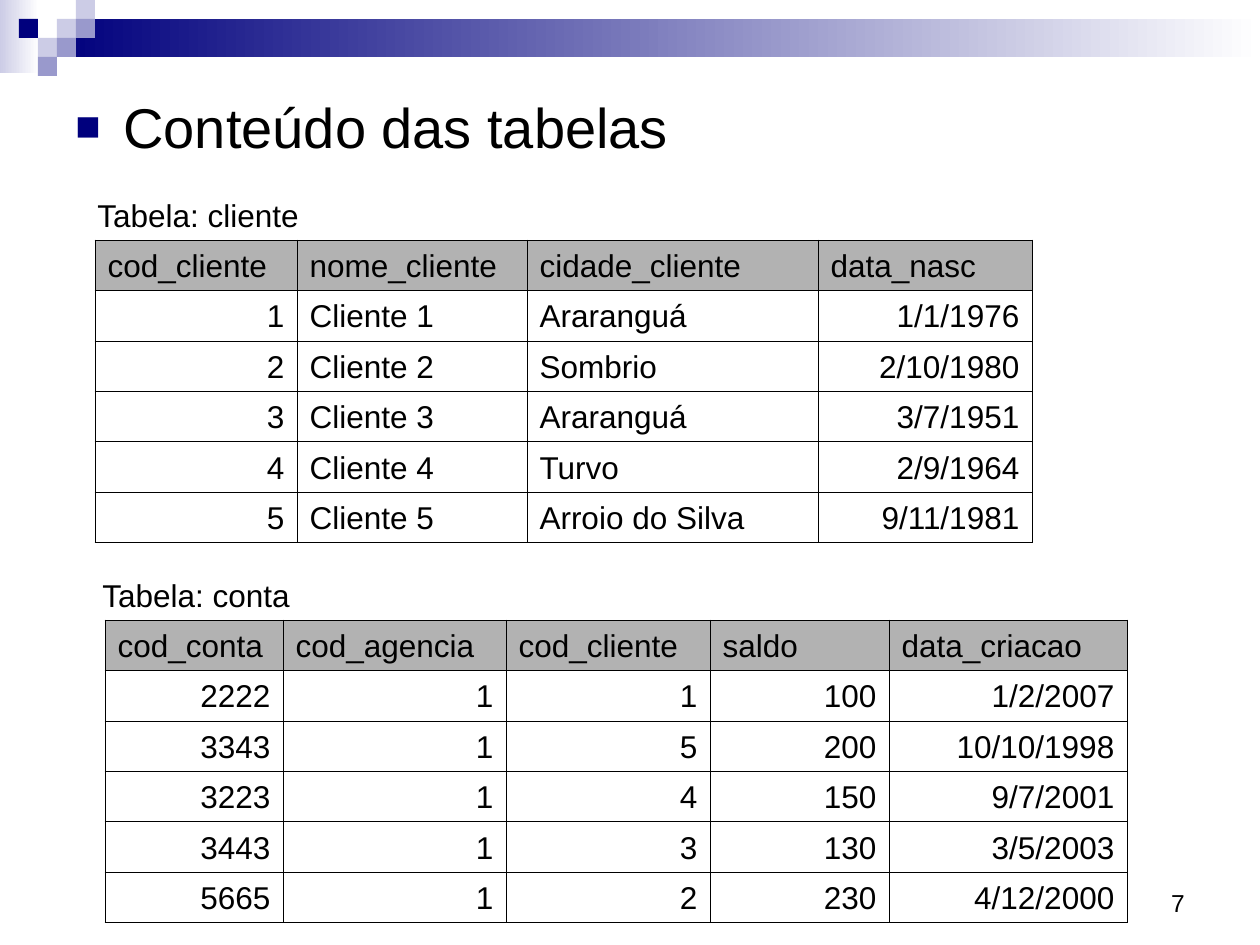
from lxml.etree import SubElement
from pptx import Presentation
from pptx.dml.color import RGBColor
from pptx.enum.shapes import MSO_SHAPE
from pptx.enum.text import MSO_ANCHOR, PP_ALIGN
from pptx.oxml.ns import qn
from pptx.util import Pt

PIXELS_PER_INCH = 126
EMU_PER_PIXEL = 914400 / PIXELS_PER_INCH

NAVY = RGBColor(0x00, 0x00, 0x7D)
LAVENDER = RGBColor(0xCC, 0xCC, 0xE6)
PERIWINKLE = RGBColor(0x99, 0x99, 0xCC)
GRAY = RGBColor(0xB2, 0xB2, 0xB2)
BLACK = RGBColor(0, 0, 0)
WHITE = RGBColor(0xFF, 0xFF, 0xFF)

MOSAIC_CELL = 19
MOSAIC = [  # column, row, colour
    (3, 1, LAVENDER), (4, 0, LAVENDER), (4, 1, PERIWINKLE), (2, 2, LAVENDER),
    (1, 1, NAVY), (3, 2, PERIWINKLE), (2, 3, PERIWINKLE),
]

CLIENT_COLUMNS = [202, 230, 291, 214]
CLIENT_ROWS = [
    ["cod_cliente", "nome_cliente", "cidade_cliente", "data_nasc"],
    ["1", "Cliente 1", "Araranguá", "1/1/1976"],
    ["2", "Cliente 2", "Sombrio", "2/10/1980"],
    ["3", "Cliente 3", "Araranguá", "3/7/1951"],
    ["4", "Cliente 4", "Turvo", "2/9/1964"],
    ["5", "Cliente 5", "Arroio do Silva", "9/11/1981"],
]
ACCOUNT_COLUMNS = [178, 223, 204, 179, 238]
ACCOUNT_ROWS = [
    ["cod_conta", "cod_agencia", "cod_cliente", "saldo", "data_criacao"],
    ["2222", "1", "1", "100", "1/2/2007"],
    ["3343", "1", "5", "200", "10/10/1998"],
    ["3223", "1", "4", "150", "9/7/2001"],
    ["3443", "1", "3", "130", "3/5/2003"],
    ["5665", "1", "2", "230", "4/12/2000"],
]


def px(length):
    return round(length * EMU_PER_PIXEL)


def emu_box(box):
    return [px(length) for length in box]


def write(paragraph, text, size, alignment=PP_ALIGN.LEFT):
    paragraph.alignment = alignment
    run = paragraph.add_run()
    run.text = text
    for name, value in {"name": "Arial", "size": Pt(size)}.items():
        setattr(run.font, name, value)
    run.font.color.rgb = BLACK


def add_text(slide, box, text, size, alignment=PP_ALIGN.LEFT, **frame_format):
    """Add a one-paragraph text box and return the paragraph."""
    frame = slide.shapes.add_textbox(*emu_box(box)).text_frame
    for name, value in {"word_wrap": True, **frame_format}.items():
        setattr(frame, name, value)
    paragraph = frame.paragraphs[0]
    write(paragraph, text, size, alignment)
    return paragraph


def add_rectangle(slide, box, color, fade_to=None):
    """Add a plain rectangle, or one that fades from left to right."""
    shape = slide.shapes.add_shape(MSO_SHAPE.RECTANGLE, *emu_box(box))
    shape.shadow.inherit = False
    shape.line.fill.background()
    if fade_to is None:
        shape.fill.solid()
        shape.fill.fore_color.rgb = color
        return
    shape.fill.gradient()
    shape.fill.gradient_angle = 0
    for stop, position, stop_color in zip(shape.fill.gradient_stops, (0, 1), (color, fade_to)):
        stop.position = position
        stop.color.rgb = stop_color


def add_banner(slide, box):
    left, top, width, height = box
    add_rectangle(slide, (left, top, 39, height), LAVENDER, WHITE)
    bar_left = 3 * MOSAIC_CELL
    add_rectangle(slide, (left + bar_left, top + MOSAIC_CELL, width - bar_left, 2 * MOSAIC_CELL),
                  NAVY, WHITE)
    for column, row, color in MOSAIC:
        add_rectangle(slide, (left + column * MOSAIC_CELL, top + row * MOSAIC_CELL,
                              MOSAIC_CELL, MOSAIC_CELL), color)


def add_heading(slide, box, text):
    """Add the slide heading with its square bullet."""
    paragraph = add_text(slide, box, text, 32)
    paragraph.space_before = Pt(8)
    properties = paragraph._p.get_or_add_pPr()
    properties.set("marL", str(px(48)))
    properties.set("indent", str(px(-48)))
    bullet_color = SubElement(properties, qn("a:buClr"))
    SubElement(bullet_color, qn("a:srgbClr"), val=str(NAVY))
    SubElement(properties, qn("a:buSzPct"), val="75000")
    SubElement(properties, qn("a:buFont"), typeface="Arial")
    SubElement(properties, qn("a:buChar"), char="■")


def add_borders(cell):
    """Draw thin black lines on all four sides; call before filling the cell."""
    properties = cell._tc.get_or_add_tcPr()
    for side in ("lnL", "lnR", "lnT", "lnB"):
        line = SubElement(properties, qn(f"a:{side}"), w=str(Pt(0.45)))
        fill = SubElement(line, qn("a:solidFill"))
        SubElement(fill, qn("a:srgbClr"), val=str(BLACK))


def format_cell(cell, text, is_header):
    add_borders(cell)
    cell_format = {
        "vertical_anchor": MSO_ANCHOR.BOTTOM,
        "margin_left": Pt(7.2), "margin_right": Pt(7.2),
        "margin_top": Pt(3.6), "margin_bottom": Pt(3.6),
    }
    for name, value in cell_format.items():
        setattr(cell, name, value)
    if is_header:
        cell.fill.solid()
        cell.fill.fore_color.rgb = GRAY
    else:
        cell.fill.background()
    alignment = PP_ALIGN.RIGHT if text[0].isdigit() else PP_ALIGN.LEFT
    write(cell.text_frame.paragraphs[0], text, 18, alignment)


def add_captioned_table(slide, box, caption, caption_shift, column_widths, rows):
    """Fill the box with a table; the caption sits above, shifted to the left."""
    left, top, width, height = box
    add_text(slide, (left - caption_shift, top - 50, 230, 50), caption, 18, word_wrap=False)
    table = slide.shapes.add_table(len(rows), len(column_widths), *emu_box(box)).table
    for name in ("first_row", "horz_banding"):
        setattr(table, name, False)
    for column, column_width in zip(table.columns, column_widths):
        column.width = px(column_width)
    for row, texts in zip(table.rows, rows):
        row.height = px(height / len(rows))
        for cell, text in zip(row.cells, texts):
            format_cell(cell, text, texts is rows[0])


def main():
    presentation = Presentation()
    presentation.slide_width = px(1260)
    presentation.slide_height = px(945)
    slide = presentation.slides.add_slide(presentation.slide_layouts[6])
    add_banner(slide, (0, 0, 1260, 73))
    add_text(slide, (903, 861, 294, 63), "7", 14, PP_ALIGN.RIGHT,
             vertical_anchor=MSO_ANCHOR.BOTTOM)
    add_heading(slide, (63, 86, 1158, 128), "Conteúdo das tabelas")
    add_captioned_table(slide, (95, 240, sum(CLIENT_COLUMNS), 302), "Tabela: cliente", 10,
                        CLIENT_COLUMNS, CLIENT_ROWS)
    add_captioned_table(slide, (105, 620, sum(ACCOUNT_COLUMNS), 302), "Tabela: conta", 15,
                        ACCOUNT_COLUMNS, ACCOUNT_ROWS)
    presentation.save("out.pptx")


if __name__ == "__main__":
    main()
